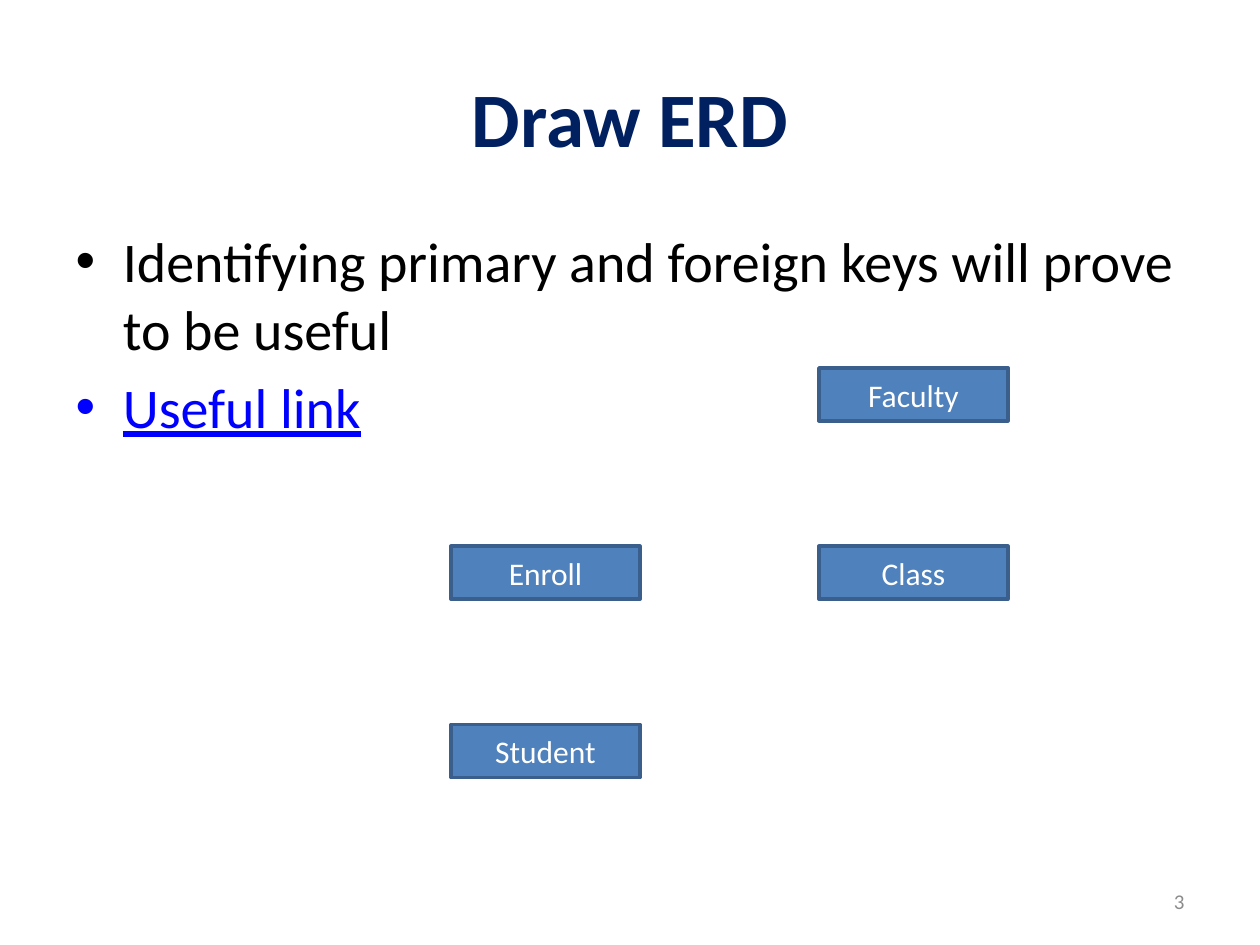
import pptx
import pptx.dml.color
import pptx.enum.shapes
import pptx.enum.text
import pptx.util

Inches = pptx.util.Inches
ALIGN = pptx.enum.text.PP_ALIGN
ANCHOR = pptx.enum.text.MSO_ANCHOR

COLORS = {
    "title": "002060",
    "body": "000000",
    "link": "0000FF",
    "number": "8C8C8C",
    "entity_fill": "4F81BD",
    "entity_line": "3A5F8C",
    "entity_text": "FFFFFF",
}

COLUMNS = (3.58, 6.5)
FIRST_ROW, ROW_STEP = 2.92, 1.415
ENTITY_WIDTH, ENTITY_HEIGHT = 1.5, 0.42
# Name, column, row
ENTITIES = (
    ("Faculty", 1, 0),
    ("Enroll", 0, 1),
    ("Class", 1, 1),
    ("Student", 0, 2),
)


def rgb(name):
    """Return the named colour."""
    return pptx.dml.color.RGBColor.from_string(COLORS[name])


def write(paragraph, text, color, size, alignment=None, **extra):
    """Put one formatted run of text in a paragraph."""
    paragraph.alignment = alignment
    run = paragraph.add_run()
    run.text = text
    formats = {"name": "Calibri", "size": pptx.util.Pt(size), **extra}
    for attribute, value in formats.items():
        setattr(run.font, attribute, value)
    run.font.color.rgb = rgb(color)


def place(shape, left, top, width, height):
    """Set the position and size of a shape, in inches."""
    box = {"left": left, "top": top, "width": width, "height": height}
    for attribute, value in box.items():
        setattr(shape, attribute, Inches(value))


def add_title(slide, text):
    """Fill the title placeholder."""
    title = slide.shapes.title
    place(title, 0.5, 0.3, 9, 1.25)
    write(title.text_frame.paragraphs[0], text, "title", 44, ALIGN.CENTER, bold=True)


def add_bullets(slide):
    """Fill the body placeholder with the bulleted list."""
    body = slide.placeholders[1]
    place(body, 0.5, 1.75, 9, 4.95)
    frame = body.text_frame
    write(frame.paragraphs[0],
          "Identifying primary and foreign keys will prove to be useful", "body", 32)
    write(frame.add_paragraph(), "Useful link", "link", 32, underline=True)


def add_slide_number(slide, text):
    """Add the number at the lower right."""
    box = slide.shapes.add_textbox(Inches(7.17), Inches(6.95), Inches(2.33), Inches(0.4))
    frame = box.text_frame
    frame.word_wrap = True
    frame.vertical_anchor = ANCHOR.MIDDLE
    write(frame.paragraphs[0], text, "number", 12, ALIGN.RIGHT)


def add_entity(slide, name, column, row):
    """Add one entity box at its grid cell."""
    shape = slide.shapes.add_shape(
        pptx.enum.shapes.MSO_SHAPE.RECTANGLE,
        Inches(COLUMNS[column]), Inches(FIRST_ROW + row * ROW_STEP),
        Inches(ENTITY_WIDTH), Inches(ENTITY_HEIGHT))
    shape.shadow.inherit = False
    shape.fill.solid()
    shape.fill.fore_color.rgb = rgb("entity_fill")
    shape.line.color.rgb = rgb("entity_line")
    shape.line.width = pptx.util.Pt(2)
    shape.text_frame.vertical_anchor = ANCHOR.MIDDLE
    write(shape.text_frame.paragraphs[0], name, "entity_text", 18, ALIGN.CENTER)


def main():
    """Build and save the slide."""
    presentation = pptx.Presentation()
    presentation.slide_width = Inches(10)
    presentation.slide_height = Inches(7.5)
    slide = presentation.slides.add_slide(presentation.slide_layouts[1])
    add_title(slide, "Draw ERD")
    add_bullets(slide)
    add_slide_number(slide, "3")
    for name, column, row in ENTITIES:
        add_entity(slide, name, column, row)
    presentation.save("out.pptx")


main()
